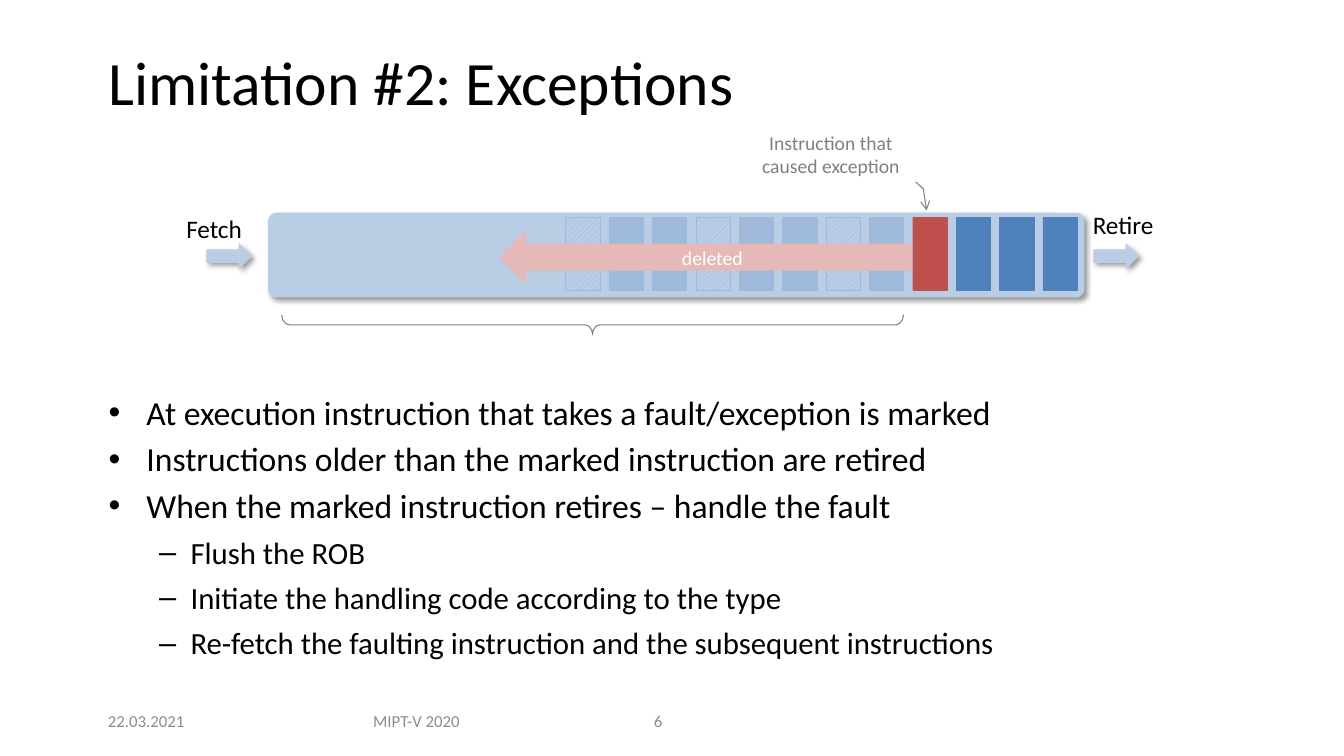
import pptx
import pptx.dml.color
import pptx.enum.dml
import pptx.enum.shapes
import pptx.enum.text
import pptx.oxml
import pptx.oxml.ns
import pptx.util

Pt = pptx.util.Pt
KIND = pptx.enum.shapes.MSO_SHAPE
ALIGN = pptx.enum.text.PP_ALIGN
ANCHOR = pptx.enum.text.MSO_ANCHOR

BLACK, WHITE, GRAY, PALE_GRAY = "000000", "FFFFFF", "808080", "8C8C8C"
BLUE, PALE_BLUE, RED, PINK = "4F81BD", "B9CDE5", "C0504D", "E6B9B8"

POINTS = [
    (0, "At execution instruction that takes a fault/exception is marked"),
    (0, "Instructions older than the marked instruction are retired"),
    (0, "When the marked instruction retires – handle the fault"),
    (1, "Flush the ROB"),
    (1, "Initiate the handling code according to the type"),
    (1, "Re-fetch the faulting instruction and the subsequent instructions"),
]
# Bullet, left margin, hanging indent, space before, size
LEVELS = [("•", 27, 27, 4.3, 24), ("–", 58.5, 22.5, 6, 22)]
FOOTERS = [
    (66, 77, "22.03.2021", ALIGN.CENTER),
    (240.5, 114, "MIPT-V 2020", ALIGN.CENTER),
    (460, 57, "6", ALIGN.LEFT),
]


def color(text):
    return pptx.dml.color.RGBColor.from_string(text)


def node(parent, tag, **attrs):
    """Append a drawing element to parent."""
    child = pptx.oxml.parse_xml(f"<a:{tag} {pptx.oxml.ns.nsdecls('a')}/>")
    for name, value in attrs.items():
        child.set(name, str(value))
    parent.append(child)
    return child


def style(para, text, size=18, ink=BLACK, align=ALIGN.LEFT, lead=None):
    para.text = text
    para.alignment = align
    para.line_spacing = lead
    para.font.size = Pt(size)
    para.font.name = "Calibri"
    para.font.color.rgb = color(ink)


def label(slide, box, text, anchor=ANCHOR.TOP, wrap=True, **look):
    frame = slide.shapes.add_textbox(*map(Pt, box)).text_frame
    frame.word_wrap = wrap
    frame.vertical_anchor = anchor
    style(frame.paragraphs[0], text, **look)


def shape(slide, kind, box, fill=None, line=None, width=0.25):
    item = slide.shapes.add_shape(kind, *map(Pt, box))
    item.shadow.inherit = False
    if fill:
        item.fill.solid()
        item.fill.fore_color.rgb = color(fill)
    else:
        item.fill.background()
    if line:
        item.line.color.rgb = color(line)
        item.line.width = Pt(width)
    else:
        item.line.fill.background()
    return item


def shade(item):
    """Drop a soft shadow to the lower right."""
    effects = item._element.spPr.find(pptx.oxml.ns.qn("a:effectLst"))
    outer = node(effects, "outerShdw", blurRad=Pt(4), dist=Pt(3),
                 dir=45 * 60000, algn="tl", rotWithShape=0)
    node(node(outer, "srgbClr", val=BLACK), "alpha", val=40000)


def caption(item, text, ink):
    frame = item.text_frame
    frame.word_wrap = True
    frame.vertical_anchor = ANCHOR.MIDDLE
    style(frame.paragraphs[0], text, size=14, ink=ink, align=ALIGN.CENTER)


def port(slide, left, top, text, place):
    """Draw an arrow into or out of the buffer, with its name at place."""
    shade(shape(slide, KIND.RIGHT_ARROW, (left, top, 32.5, 19), PALE_BLUE))
    label(slide, (*place, 58, 29), text, wrap=False)


def blocks(slide, left, top):
    """Twelve entries: the ninth faults, every third before it is striped."""
    fault = 8
    for i in range(12):
        tint = RED if i == fault else BLUE
        item = shape(slide, KIND.RECTANGLE,
                     (left + 31 * i, top, 24.5, 52), tint, tint)
        if i < fault and i % 3 == 0:
            item.fill.patterned()
            pattern = pptx.enum.dml.MSO_PATTERN.WIDE_UPWARD_DIAGONAL
            item.fill.pattern = pattern
            item.fill.fore_color.rgb = color(BLUE)
            item.fill.back_color.rgb = color(PALE_BLUE)


def flush(slide, left, top):
    """Fade the deleted entries and lay the arrow on them."""
    veil = shape(slide, KIND.RECTANGLE, (left + 8.5, top, 281.5, 56),
                 PALE_BLUE)
    tint = veil.fill._xPr.find(".//" + pptx.oxml.ns.qn("a:srgbClr"))
    node(tint, "alpha", val=75000)
    arrow = shape(slide, KIND.LEFT_ARROW, (left, top + 10.5, 295, 38.5), PINK)
    caption(arrow, "deleted", WHITE)


def callout(slide, box):
    item = shape(slide, KIND.LINE_CALLOUT_2_NO_BORDER, box,
                 line=GRAY, width=0.75)
    for i, value in enumerate((0.916, 0.962, 1.018, 1.004, 1.34, 1.022)):
        item.adjustments[i] = value
    node(item.line._get_or_add_ln(), "tailEnd", type="arrow")
    caption(item, "Instruction that caused exception", GRAY)


def buffer(slide, left, top, width, height):
    bar = shape(slide, KIND.ROUNDED_RECTANGLE, (left, top, width, height),
                PALE_BLUE)
    bar.adjustments[0] = 0.094
    shade(bar)
    port(slide, left - 44, top + 21.5, "Fetch", (left - 65.5, top - 3))
    port(slide, left + width + 6.5, top + 21.5, "Retire",
         (left + width - 1, top - 6))
    blocks(slide, left + 212.5, top + 3.5)
    callout(slide, (left + 336.5, top - 66, 131, 48))
    brace = shape(slide, KIND.RIGHT_BRACE,
                  (left + 224.5, top - 142, 14.5, 444),
                  line=GRAY, width=0.75)
    brace.adjustments[0] = 0.358
    brace.rotation = 90
    flush(slide, left + 165, top + 2)


def body(slide, box):
    frame = slide.shapes.add_textbox(*map(Pt, box)).text_frame
    frame.word_wrap = True
    for i, (level, text) in enumerate(POINTS):
        para = frame.add_paragraph() if i else frame.paragraphs[0]
        mark, margin, hang, gap, size = LEVELS[level]
        para.level = level
        para.space_before = Pt(gap if i else 0)
        props = para._p.get_or_add_pPr()
        props.set("marL", str(Pt(margin)))
        props.set("indent", str(-Pt(hang)))
        node(props, "buFont", typeface="Arial")
        node(props, "buChar", char=mark)
        style(para, text, size=size)


def footer(slide, top, height):
    for left, width, text, align in FOOTERS:
        label(slide, (left, top, width, height), text, anchor=ANCHOR.MIDDLE,
              size=12, ink=PALE_GRAY, align=align)


def main():
    deck = pptx.Presentation()
    deck.slide_width, deck.slide_height = Pt(960), Pt(540)
    slide = deck.slides.add_slide(deck.slide_layouts[6])
    label(slide, (70.5, 28, 652, 65.5), "Limitation #2: Exceptions",
          anchor=ANCHOR.MIDDLE, size=44, lead=0.9)
    buffer(slide, 191.5, 152, 583, 60.5)
    body(slide, (70.5, 276.5, 865, 224.5))
    footer(slide, 500.5, 29)
    deck.save("out.pptx")


if __name__ == "__main__":
    main()
